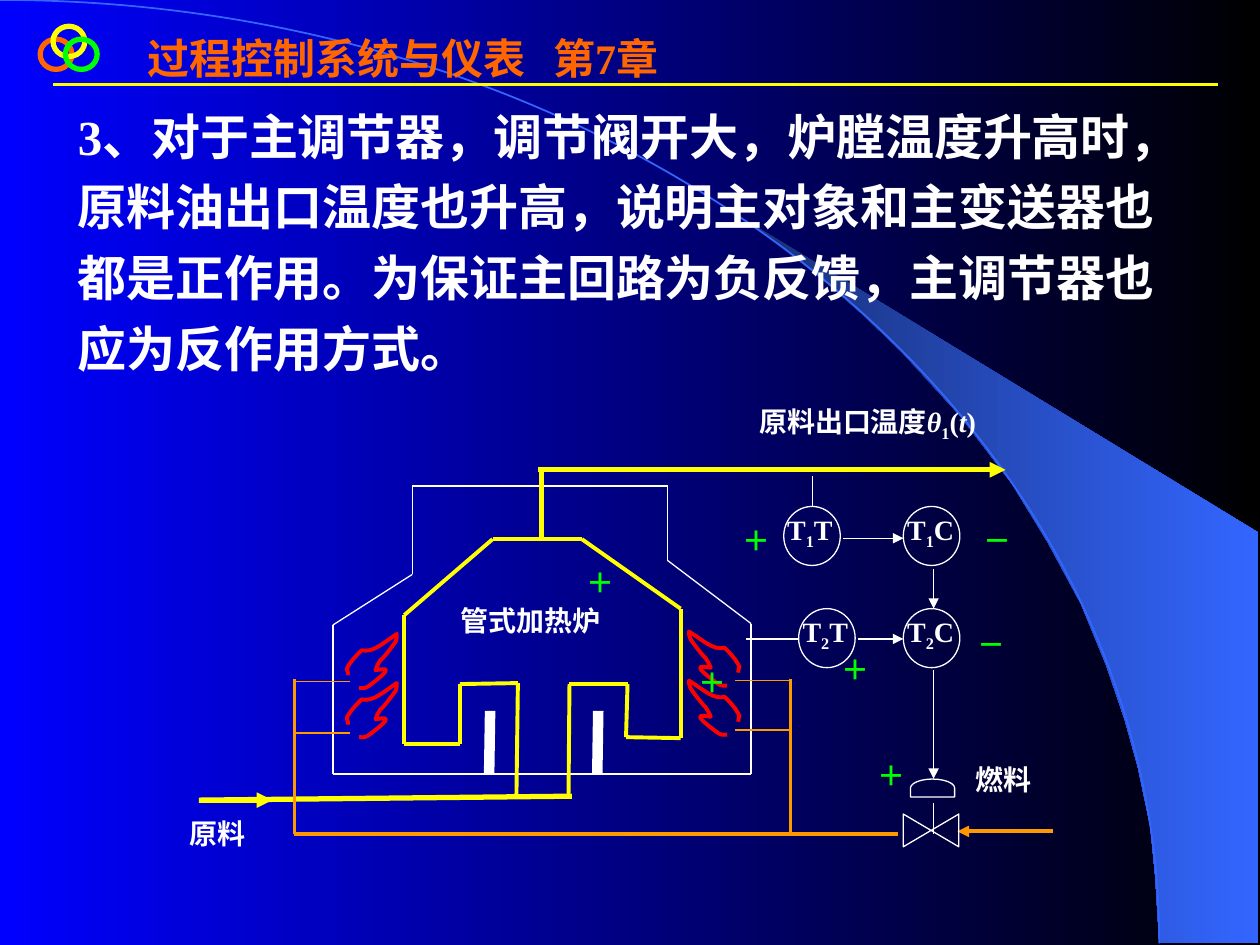
from itertools import pairwise

from lxml.etree import SubElement
from pptx import Presentation
from pptx.dml.color import RGBColor
from pptx.enum.shapes import MSO_CONNECTOR, MSO_SHAPE as Preset
from pptx.enum.text import MSO_ANCHOR as Anchor, PP_ALIGN as Align
from pptx.oxml.ns import qn
from pptx.util import Cm, Pt

WHITE, YELLOW, ORANGE = "FFFFFF", "FFFF00", "FF9900"
GREEN, RED, BLUE = "00FF00", "FF0000", "3366FF"

BODY = ("3、对于主调节器，调节阀开大，炉膛温度升高时，原料油出口温度也升高，"
        "说明主对象和主变送器也都是正作用。为保证主回路为负反馈，"
        "主调节器也应为反作用方式。")

ARC = [(0, 0), (5.08, 0), (9.2, 3.35), (9.2, 7.49)]
BEAM = [(9.2, 7.48), (9.99, 7.49), (9.99, 4.23), (5.89, 1.73), (6.24, 1.99),
        (6.53, 2.22), (6.85, 2.5), (7.16, 2.8), (7.62, 3.3), (8.03, 3.84),
        (8.32, 4.31), (8.58, 4.79), (8.78, 5.28), (8.93, 5.72), (9.03, 6.09),
        (9.13, 6.56), (9.17, 6.96)]
FLAME = [(5.77, 5.83), (5.75, 5.83), (5.73, 5.84), (5.7, 5.82),
         (5.47, 5.65), (5.57, 5.68), (5.64, 5.69),
         (5.63, 5.66), (5.62, 5.64), (5.6, 5.61),
         (5.59, 5.61), (5.49, 5.48), (5.48, 5.46),
         (5.47, 5.44), (5.47, 5.42), (5.47, 5.4),
         (5.59, 5.48), (5.66, 5.55), (5.75, 5.53),
         (5.79, 5.57), (5.83, 5.61), (5.86, 5.66),
         (5.88, 5.69), (5.85, 5.7), (5.86, 5.73)]
FURNACE_WALL = [(2.64, 6.14), (2.64, 4.96), (3.27, 4.56), (3.27, 3.86),
                (5.3, 3.86), (5.3, 4.45), (5.96, 4.95), (5.96, 6.14),
                (2.64, 6.14)]
HEATING_TUBE = [(4.51, 6.34), (4.52, 5.43), (4.98, 5.43), (4.97, 5.85),
                (5.4, 5.86), (5.4, 4.83), (4.62, 4.28), (3.91, 4.28),
                (3.21, 4.88), (3.21, 5.9), (3.65, 5.9), (3.65, 5.43),
                (4.11, 5.42), (4.1, 6.33)]


def length(units):
    """Convert layout units, 2.54 cm each."""
    return Cm(round(units * 2.54, 2))


def color(value):
    return RGBColor.from_string(value)


def set_gradient(fill, start, end):
    fill.gradient()
    fill.gradient_angle = 0
    for stop, value in zip(fill.gradient_stops, (start, end)):
        stop.color.rgb = color(value)


def set_line(line, value, width):
    line.color.rgb = color(value)
    line.width = Pt(width)


def add_freeform(slide, points, close=False):
    scaled = [(length(x), length(y)) for x, y in points]
    builder = slide.shapes.build_freeform(*scaled[0])
    builder.add_line_segments(scaled[1:], close=close)
    shape = builder.convert_to_shape()
    shape.shadow.inherit = False
    return shape


def add_curve(slide, controls, value, width):
    """Draw chained cubic curves: a start, then three control points for each."""
    shape = add_freeform(slide, controls)
    shape.fill.background()
    set_line(shape.line, value, width)
    segments = list(shape._element.iter(qn("a:lnTo")))
    outline = segments[0].getparent()
    for i in range(0, len(segments), 3):
        curve = SubElement(outline, qn("a:cubicBezTo"))
        for segment in segments[i:i + 3]:
            curve.append(segment[0])
            outline.remove(segment)


def add_outline(slide, preset, box, value, width, rotation=0):
    shape = slide.shapes.add_shape(preset, *map(length, box))
    shape.shadow.inherit = False
    shape.fill.background()
    shape.rotation = rotation
    set_line(shape.line, value, width)


def add_lines(slide, points, value, width, arrow=False):
    """Join the points by connectors, each with an arrowhead if asked for."""
    for start, end in pairwise(points):
        connector = slide.shapes.add_connector(
            MSO_CONNECTOR.STRAIGHT, *map(length, start + end))
        set_line(connector.line, value, width)
        properties = connector._element.spPr
        if arrow:
            SubElement(properties.find(qn("a:ln")), qn("a:tailEnd"), type="triangle")
        SubElement(properties, qn("a:effectLst"))


def add_text(slide, box, parts, size=16, value=WHITE, align=Align.JUSTIFY, wrap=True):
    """Each part is a text and its style: '', 'italic' or 'sub'."""
    text_frame = slide.shapes.add_textbox(*map(length, box)).text_frame
    text_frame.word_wrap = wrap
    paragraph = text_frame.paragraphs[0]
    paragraph.alignment = align
    for text, style in parts:
        run = paragraph.add_run()
        run.text = text
        run.font.name = "Times New Roman"
        run.font.size = Pt(size)
        run.font.bold = True
        run.font.italic = style == "italic"
        run.font.color.rgb = color(value)
        if style == "sub":
            run._r.get_or_add_rPr().set("baseline", "-25000")
    return text_frame


def add_backdrop(slide):
    set_gradient(slide.background.fill, "0000FF", "000000")
    beam = add_freeform(slide, BEAM, close=True)
    set_gradient(beam.fill, "182F76", BLUE)
    beam.line.fill.background()
    add_curve(slide, ARC, BLUE, 1)


def add_header(slide):
    add_lines(slide, [(0.42, 0.67), (9.67, 0.67)], YELLOW, 1.5)
    title = add_text(slide, (1.07, 0.21, 4.49, 0.9), [("过程控制系统与仪表\t第7章", "")],
                     24, "FF6600", Align.LEFT)
    tabs = SubElement(title.paragraphs[0]._p.get_or_add_pPr(), qn("a:tabLst"))
    SubElement(tabs, qn("a:tab"), pos=str(length(3.22)), algn="l")
    for left, top, value in ((0.32, 0.31, "FF6600"), (0.42, 0.21, YELLOW),
                             (0.52, 0.31, GREEN)):
        add_outline(slide, Preset.OVAL, (left, top, 0.25, 0.24), value, 3)


def add_furnace(slide):
    add_lines(slide, FURNACE_WALL, WHITE, 0.75)
    add_lines(slide, HEATING_TUBE, YELLOW, 2.25)
    for x in (3.88, 4.74):
        add_lines(slide, [(x, 6.15), (x + 0.01, 5.64)], WHITE, 6)
    add_lines(slide, [(1.58, 6.35), (4.54, 6.32)], YELLOW, 3)
    add_lines(slide, [(1.58, 6.35), (2.16, 6.35)], YELLOW, 3, arrow=True)
    add_lines(slide, [(4.3, 4.29), (4.3, 3.71)], YELLOW, 3)
    add_lines(slide, [(4.27, 3.73), (7.98, 3.73)], YELLOW, 3, arrow=True)
    for rise in (0, 0.39):
        add_curve(slide, [(x, y - rise) for x, y in FLAME], RED, 2.25)
        add_curve(slide, [(8.62 - x, y + 0.02 - rise) for x, y in FLAME], RED, 2.25)


def add_fuel_line(slide):
    for x, top, branch_end, branches in ((2.34, 5.39, 2.78, (5.41, 5.82)),
                                         (6.27, 5.39, 5.83, (5.4, 5.79))):
        add_lines(slide, [(x, top), (x, 6.62)], ORANGE, 1.5)
        for y in branches:
            add_lines(slide, [(x, y), (branch_end, y)], ORANGE, 1)
    add_lines(slide, [(2.33, 6.62), (7.13, 6.62)], ORANGE, 2.25)
    add_lines(slide, [(8.36, 6.6), (7.6, 6.6)], ORANGE, 2.25, arrow=True)
    add_outline(slide, Preset.FLOWCHART_COLLATE, (7.26, 6.37, 0.26, 0.44), WHITE, 0.75, 270)
    add_outline(slide, Preset.FLOWCHART_DELAY, (7.33, 6.08, 0.14, 0.35), WHITE, 0.75, 270)
    add_lines(slide, [(7.41, 6.37), (7.41, 6.62)], WHITE, 0.75)


def add_control_loops(slide):
    for left, top, number, letter in ((6.22, 4.02, "1", "T"), (7.17, 4.02, "1", "C"),
                                      (6.34, 4.83, "2", "T"), (7.17, 4.83, "2", "C")):
        add_outline(slide, Preset.OVAL, (left, top, 0.45, 0.47), WHITE, 0.75)
        add_text(slide, (left - 0.12, top, 0.73, 0.41),
                 [(" T", ""), (number, "sub"), (letter, "")])
    add_lines(slide, [(6.45, 3.78), (6.45, 4.02)], WHITE, 0.75)
    add_lines(slide, [(5.92, 5.07), (6.34, 5.07)], WHITE, 0.75)
    for start, end in (((6.69, 4.27), (7.17, 4.27)), ((6.81, 5.07), (7.17, 5.07)),
                       ((7.41, 4.52), (7.41, 4.83)), ((7.41, 5.32), (7.41, 6.18))):
        add_lines(slide, [start, end], WHITE, 0.75, arrow=True)


def add_labels(slide):
    add_text(slide, (5.93, 3.16, 2.66, 0.49),
             [("原料出口温度", ""), ("θ", "italic"), ("1", "sub"),
              ("(", ""), ("t", "italic"), (")", "")])
    for box, text in (((1.41, 6.43, 0.87, 0.47), "原料"),
                      ((7.64, 6, 0.84, 0.43), "燃料"),
                      ((3.56, 4.74, 1.61, 0.51), "管式加热炉")):
        add_text(slide, box, [(text, "")])
    for left, top, sign in ((6.87, 5.92, "＋"), (5.45, 5.18, "＋"), (6.58, 5.08, "＋"),
                            (4.56, 4.39, "＋"), (5.79, 4.05, "＋"),
                            (7.66, 4.88, "－"), (7.71, 4.05, "－")):
        text_frame = add_text(slide, (left, top, 0.42, 0.42), [(sign, "")],
                              value=GREEN, align=Align.LEFT, wrap=False)
        text_frame.paragraphs[0].line_spacing = 1.2


def main():
    presentation = Presentation()
    presentation.slide_width, presentation.slide_height = Cm(25.4), Cm(19.05)
    slide = presentation.slides.add_slide(presentation.slide_layouts[6])
    add_backdrop(slide)
    add_header(slide)
    body = add_text(slide, (0.52, 0.7, 9.06, 2.34), [(BODY, "")], 28, align=Align.LEFT)
    body.vertical_anchor = Anchor.MIDDLE
    body.paragraphs[0].line_spacing = 1.2
    add_furnace(slide)
    add_fuel_line(slide)
    add_control_loops(slide)
    add_labels(slide)
    presentation.save("out.pptx")


if __name__ == "__main__":
    main()
